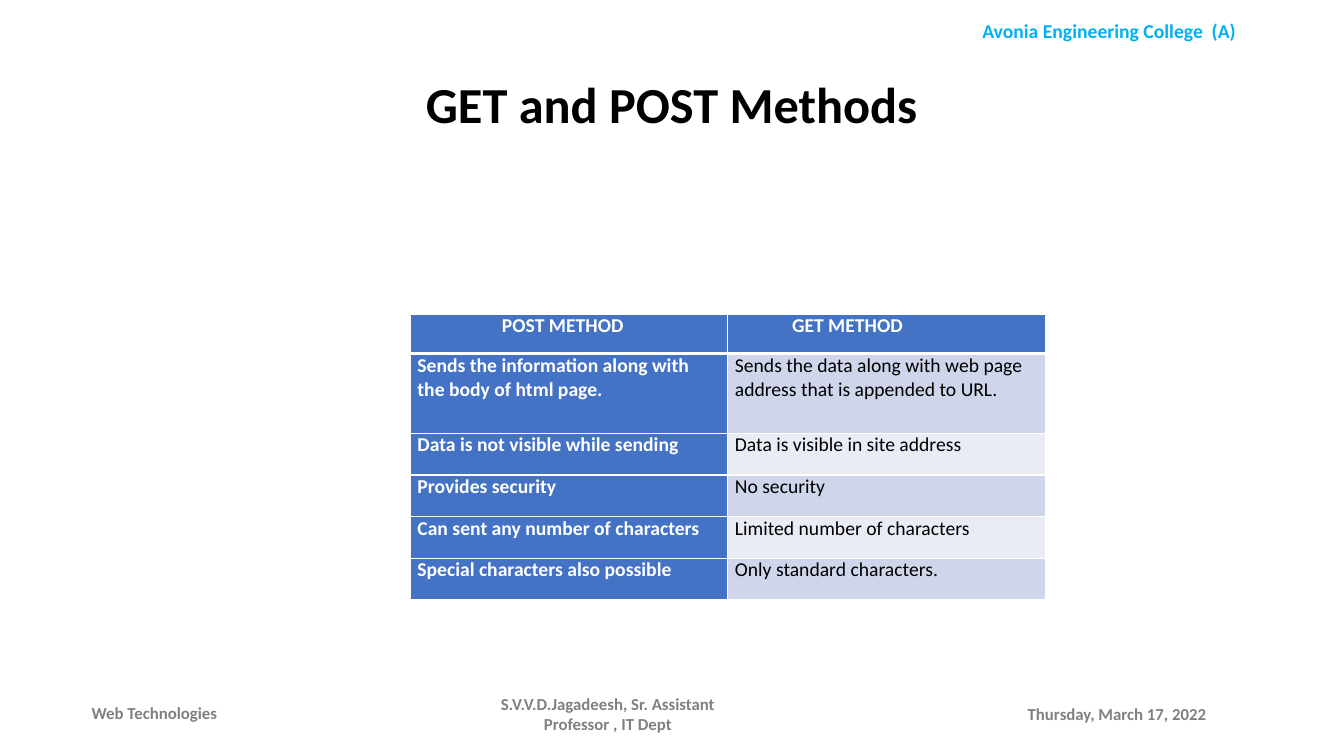
"""Builds a slide comparing the POST and GET methods in a table."""
from lxml.etree import SubElement
from pptx import Presentation
from pptx.dml.color import RGBColor
from pptx.enum.text import MSO_ANCHOR, PP_ALIGN
from pptx.oxml.ns import qn
from pptx.util import Cm, Pt

COLORS = {
    "college": "00B0F0", "footer": "808080", "title": "000000",
    "strong": "4472C4", "band_dark": "CFD5EA", "band_light": "E9EBF5",
    "on_strong": "FFFFFF", "on_band": "000000", "border": "FFFFFF",
}
LABELS = [
    ("Avonia Engineering College  (A)", (23.09, 0.36, 9.73, 0.86),
     "college", 14, PP_ALIGN.CENTER, MSO_ANCHOR.TOP),
    ("Web Technologies", (2.06, 17.45, 5.36, 1.02),
     "footer", 12, PP_ALIGN.JUSTIFY, MSO_ANCHOR.MIDDLE),
    ("S.V.V.D.Jagadeesh, Sr. Assistant Professor , IT Dept", (11.51, 17.48, 7.62, 1.02),
     "footer", 12, PP_ALIGN.CENTER, MSO_ANCHOR.MIDDLE),
    ("Thursday, March 17, 2022", (25.65, 17.48, 5.84, 1.02),
     "footer", 12, PP_ALIGN.LEFT, MSO_ANCHOR.MIDDLE),
    ("GET and POST Methods", (2.26, 1.73, 29.34, 1.8),
     "title", 36, PP_ALIGN.CENTER, MSO_ANCHOR.TOP),
]
METHODS = [
    ("POST METHOD", "GET METHOD"),
    ("Sends the information along with the body of html page.",
     "Sends the data along with web page address that is appended to URL."),
    ("Data is not visible while sending", "Data is visible in site address"),
    ("Provides security", "No security"),
    ("Can sent any number of characters", "Limited number of characters"),
    ("Special characters also possible", "Only standard characters."),
]
TABLE_LEFT, TABLE_TOP, COLUMN_WIDTH = 10.34, 7.92, 8
ROW_HEIGHTS = [0.99, 2.01] + [1.05] * 4
HEADING_MARGINS = (2.31, 1.62)
CELL_MARGIN = 0.18


def write(frame, text, color, size, bold=True, align=PP_ALIGN.LEFT):
    paragraph = frame.paragraphs[0]
    paragraph.alignment = align
    run = paragraph.add_run()
    run.text = text
    for name, value in {"name": "Calibri", "size": Pt(size), "bold": bold}.items():
        setattr(run.font, name, value)
    run.font.color.rgb = RGBColor.from_string(COLORS[color])


def add_borders(cell, widths):
    properties = cell._tc.get_or_add_tcPr()
    for position, (side, width) in enumerate(widths.items()):
        line = SubElement(properties, qn(f"a:ln{side}"), w=str(Pt(width)))
        fill = SubElement(line, qn("a:solidFill"))
        SubElement(fill, qn("a:srgbClr"), val=COLORS["border"])
        properties.insert(position, line)


presentation = Presentation()
presentation.slide_width, presentation.slide_height = Cm(33.87), Cm(19.05)
slide = presentation.slides.add_slide(presentation.slide_layouts[6])

for text, box, color, size, align, anchor in LABELS:
    frame = slide.shapes.add_textbox(*map(Cm, box)).text_frame
    for name, value in {"word_wrap": True, "vertical_anchor": anchor}.items():
        setattr(frame, name, value)
    write(frame, text, color, size, align=align)

comparison = slide.shapes.add_table(
    len(METHODS), 2, Cm(TABLE_LEFT), Cm(TABLE_TOP),
    Cm(2 * COLUMN_WIDTH), Cm(sum(ROW_HEIGHTS))).table
for column in comparison.columns:
    column.width = Cm(COLUMN_WIDTH)

for r, (methods, height) in enumerate(zip(METHODS, ROW_HEIGHTS)):
    comparison.rows[r].height = Cm(height)
    for c, text in enumerate(methods):
        cell = comparison.cell(r, c)
        strong = r == 0 or c == 0
        band = "band_dark" if r % 2 else "band_light"
        margins = {
            "margin_left": Cm(CELL_MARGIN if r else HEADING_MARGINS[c]),
            "margin_right": Cm(CELL_MARGIN), "margin_top": 0, "margin_bottom": 0,
        }
        for name, value in margins.items():
            setattr(cell, name, value)
        cell.fill.solid()
        cell.fill.fore_color.rgb = RGBColor.from_string(COLORS["strong" if strong else band])
        add_borders(cell, {"L": 1, "R": 1, "T": 3 if r == 1 else 1, "B": 1 if r else 3})
        write(cell.text_frame, text, "on_strong" if strong else "on_band", 14, strong)

presentation.save("out.pptx")
